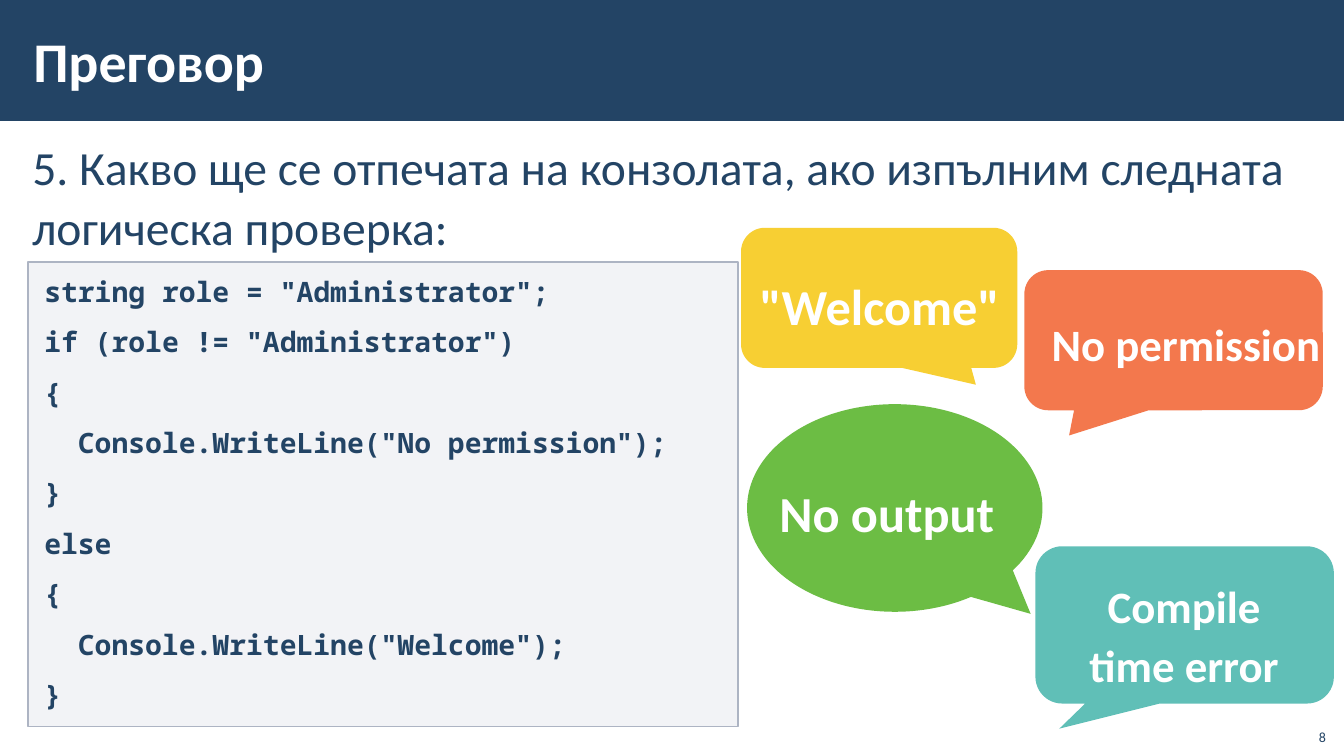
from lxml import etree
from pptx import Presentation
from pptx.dml.color import RGBColor
from pptx.enum.shapes import MSO_SHAPE
from pptx.enum.text import MSO_ANCHOR, PP_ALIGN
from pptx.oxml.ns import qn
from pptx.util import Inches, Pt

RECT = MSO_SHAPE.RECTANGLE
ROUND = MSO_SHAPE.ROUNDED_RECTANGULAR_CALLOUT
OVAL = MSO_SHAPE.OVAL_CALLOUT
LEFT, CENTER, RIGHT = PP_ALIGN.LEFT, PP_ALIGN.CENTER, PP_ALIGN.RIGHT
TOP, MIDDLE, BOTTOM = MSO_ANCHOR.TOP, MSO_ANCHOR.MIDDLE, MSO_ANCHOR.BOTTOM

COLORS = {
    "navy": "234465",
    "white": "FFFFFF",
    "teal": "60BFB7",
    "orange": "F15721",
    "gray": "ADB4C3",
    "green": "6CBD44",
    "yellow": "F5C300",
}

deck = Presentation()
deck.slide_width, deck.slide_height = Inches(13.33), Inches(7.5)
slide = deck.slides.add_slide(deck.slide_layouts[5])
shapes = slide.shapes


def draw(kind, box, color, alpha=100):
    shape = shapes.add_shape(kind, *[Inches(n) for n in box])
    shape.shadow.inherit = False
    shape.fill.solid()
    shape.fill.fore_color.rgb = RGBColor.from_string(COLORS[color])
    shape.line.fill.background()
    if alpha < 100:
        tint = shape.fill._xPr.find(qn("a:solidFill"))[0]
        etree.SubElement(tint, qn("a:alpha")).set("val", str(alpha * 1000))
    return shape


def write(shape, lines, size, color, bold=True, font="Calibri", align=LEFT,
          anchor=TOP, pad=(0.16, 0.12), space=1.0, gap=0, indent=0):
    frame = shape.text_frame
    frame.word_wrap = True
    frame.vertical_anchor = anchor
    frame.margin_left = frame.margin_right = Inches(pad[0])
    frame.margin_top = frame.margin_bottom = Inches(pad[1])
    for i, line in enumerate(lines):
        para = frame.add_paragraph() if i else frame.paragraphs[0]
        para.alignment = align
        para.line_spacing = space
        para.space_before = para.space_after = Pt(gap)
        code = line.lstrip()
        inset = indent + (len(line) - len(code)) * 0.6 * size / 72
        if inset:
            para._p.get_or_add_pPr().set("marL", str(Inches(inset)))
        run = para.add_run()
        run.text = code
        run.font.name = font
        run.font.size = Pt(size)
        run.font.bold = bold
        run.font.color.rgb = RGBColor.from_string(COLORS[color])


draw(RECT, (0, 0, 13.33, 1.2), "navy")

title = shapes.title
title.left, title.top = Inches(0.21), Inches(0.11)
title.width, title.height = Inches(10.63), Inches(0.97)
write(title, ["Преговор"], 40, "white", anchor=MIDDLE, pad=(0.12, 0.04))
shapes._spTree.append(title._element)

task = shapes.add_textbox(Inches(0.2), Inches(1.3), Inches(12.95), Inches(1.3))
write(task, ["5. Какво ще се отпечата на конзолата, ако изпълним следната логическа проверка:"],
      34, "navy", bold=False, pad=(0.12, 0.04), space=1.05, gap=6)

panel = draw(RECT, (0.28, 2.6, 7.04, 4.61), "gray", 15)
panel.line.color.rgb = RGBColor.from_string(COLORS["gray"])
panel.line.width = Pt(1)
listing = [
    'string role = "Administrator";',
    'if (role != "Administrator")',
    "{",
    '  Console.WriteLine("No permission");',
    "}",
    "else",
    "{",
    '  Console.WriteLine("Welcome");',
    "}",
]
write(panel, listing, 20, "navy", font="Noto Sans Mono", gap=6)

answers = [
    ("Compile time error", 32, CENTER, 1.1, 0, (10.41, 5.57, 2.67, 1.39),
     ROUND, (10.27, 5.42, 2.96, 1.56), "teal", 100, (-0.42, 0.66, 0.17)),
    ("No permission", 32, LEFT, 1.1, 0, (10.27, 2.97, 3, 0.79),
     ROUND, (10.16, 2.68, 2.96, 1.39), "orange", 80, (-0.35, 0.68, 0.17)),
    ("No output", 36, LEFT, 1.0, 0.5, (7.07, 4.66, 3.24, 0.84),
     OVAL, (7.41, 4.01, 2.93, 2.06), "green", 100, (0.46, 0.51)),
    ('"Welcome"', 36, CENTER, 1.1, 0, (7.37, 2.55, 2.71, 0.87),
     ROUND, (7.35, 2.26, 2.74, 1.39), "yellow", 80, (0.35, 0.62, 0.17)),
]
for text, size, align, space, indent, area, kind, box, color, alpha, tail in answers:
    bubble = draw(kind, box, color, alpha)
    for i, value in enumerate(tail):
        bubble.adjustments[i] = value
    label = shapes.add_textbox(*[Inches(n) for n in area])
    write(label, [text], size, "white", align=align, space=space, indent=indent)

page = shapes.add_textbox(Inches(12.85), Inches(7.12), Inches(0.4), Inches(0.32))
write(page, ["8"], 10, "navy", bold=False, align=RIGHT, anchor=BOTTOM, pad=(0.1, 0.05))

deck.save("out.pptx")
